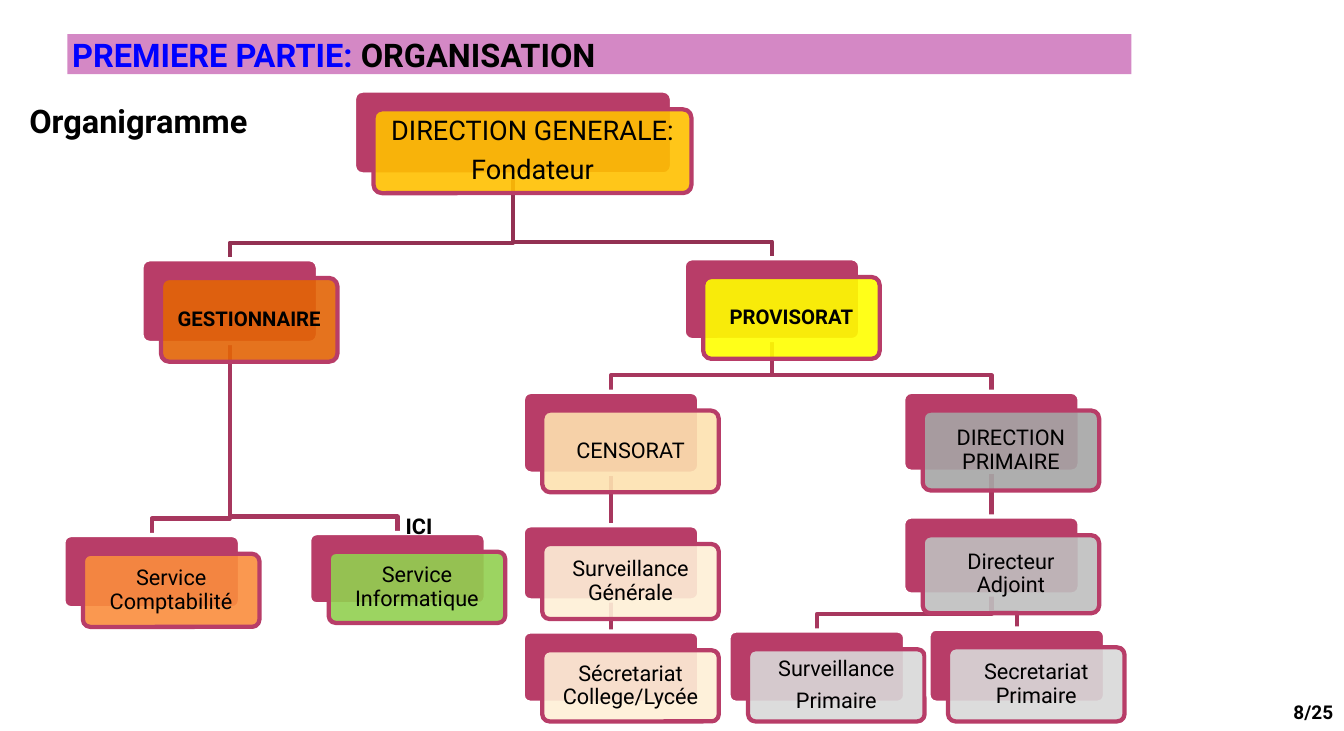
"""Build the organisation chart slide of a school."""
from lxml import etree
from pptx import Presentation
from pptx.dml.color import RGBColor
from pptx.enum.shapes import MSO_CONNECTOR, MSO_SHAPE
from pptx.enum.text import MSO_ANCHOR, MSO_AUTO_SIZE, PP_ALIGN
from pptx.oxml.ns import qn
from pptx.util import Inches, Pt

STRAIGHT = MSO_CONNECTOR.STRAIGHT
ROUNDED = MSO_SHAPE.ROUNDED_RECTANGLE
MIDDLE, BOTTOM, TOP = MSO_ANCHOR.MIDDLE, MSO_ANCHOR.BOTTOM, MSO_ANCHOR.TOP
LEFT, CENTER, RIGHT, JUSTIFY = PP_ALIGN.LEFT, PP_ALIGN.CENTER, PP_ALIGN.RIGHT, PP_ALIGN.JUSTIFY
NO_AUTOFIT = MSO_AUTO_SIZE.NONE
ROSE, ROSE_DARK, ROSE_DARKER = "B83D68", "A7375E", "933153"
LINE_WIDTH = Pt(3.15)
OFFSET, DROP, BOX_WIDTH = 0.2, 0.17, 1.81


def color(value):
    return RGBColor.from_string(value)


def style_font(font, size, bold=False, hue="000000"):
    font.name, font.size, font.bold = "Roboto", Pt(size), bold
    font.color.rgb = color(hue)


prs = Presentation()
prs.slide_width, prs.slide_height = Inches(13.78), Inches(7.5)
s = prs.slides.add_slide(prs.slide_layouts[1])

title, body = s.placeholders
title.left, title.top, title.width, title.height = map(Inches, (0.69, 0.35, 10.91, 0.41))
title.fill.solid()
title.fill.fore_color.rgb = color("D488C5")
tf = title.text_frame
tf.auto_size, tf.vertical_anchor, tf.word_wrap = NO_AUTOFIT, BOTTOM, True
tf.margin_left = tf.margin_right = Inches(0.05)
tf.margin_top = tf.margin_bottom = 0
p = tf.paragraphs[0]
p.alignment = LEFT
for text, hue in (("PREMIERE PARTIE: ", "0000FF"), ("ORGANISATION", "000000")):
    r = p.add_run()
    r.text = text
    style_font(r.font, 24, True, hue)

body.left, body.top, body.width, body.height = map(Inches, (0.2, 0.79, 11.97, 6.38))
tf = body.text_frame
tf.text = "Organigramme"
tf.auto_size, tf.vertical_anchor = NO_AUTOFIT, TOP
p = tf.paragraphs[0]
p.alignment, p.line_spacing, p.space_before = JUSTIFY, 1.5, Pt(2)
style_font(p.font, 24, True)
pPr = p._p.get_or_add_pPr()
pPr.set("marL", "0")
pPr.set("indent", "0")
pPr.insert_element_before(etree.Element(qn("a:buNone")), "a:tabLst", "a:defRPr", "a:extLst")

# name: (left, top, width, height, fill, text, size, bold)
boxes = {
    "direction": (3.63, 0.93, 3.26, 0.86, "FFC000", "DIRECTION GENERALE:\nFondateur", 20, False),
    "gestion": (1.45, 2.66, BOX_WIDTH, 0.86, "E36406", "GESTIONNAIRE", 15, True),
    "compta": (0.65, 5.49, BOX_WIDTH, 0.75, "FA8D3D", "Service Comptabilité", 16, False),
    "info": (3.17, 5.47, BOX_WIDTH, 0.73, "92D050", "Service Informatique", 16, False),
    "provisorat": (7.01, 2.65, BOX_WIDTH, 0.84, "FFFF00", "PROVISORAT", 15, True),
    "censorat": (5.36, 4.02, BOX_WIDTH, 0.84, "FDE2B0", "CENSORAT", 16, False),
    "surv_gen": (5.36, 5.39, BOX_WIDTH, 0.77, "FEF0D7", "Surveillance Générale", 16, False),
    "secr_college": (5.36, 6.48, BOX_WIDTH, 0.73, "FEF0D7", "Sécretariat College/Lycée", 16, False),
    "primaire": (9.26, 4.02, BOX_WIDTH, 0.82, "A6A6A6", "DIRECTION PRIMAIRE", 16, False),
    "adjoint": (9.26, 5.3, BOX_WIDTH, 0.8, "BFBFBF", "Directeur Adjoint", 16, False),
    "surv_prim": (7.47, 6.47, BOX_WIDTH, 0.74, "D9D9D9", "Surveillance\nPrimaire", 16, False),
    "secr_prim": (9.52, 6.45, BOX_WIDTH, 0.76, "D9D9D9", "Secretariat Primaire", 16, False),
}
children = {
    "adjoint": ("secr_prim", "surv_prim"),
    "primaire": ("adjoint",),
    "surv_gen": ("secr_college",),
    "censorat": ("surv_gen",),
    "provisorat": ("primaire", "censorat"),
    "gestion": ("info", "compta"),
    "direction": ("provisorat", "gestion"),
}

straight_links = []
for parent, names in children.items():
    left, top, width, height = boxes[parent][:4]
    x, y = left + width / 2, top + height
    for name in names:
        child_left, child_top, child_width = boxes[name][:3]
        child_x, bend = child_left + child_width / 2, child_top - DROP
        if len(names) == 1:
            sp = s.shapes.add_connector(STRAIGHT, Inches(x), Inches(y), Inches(child_x), Inches(child_top))
            etree.SubElement(sp._element.spPr, qn("a:effectLst"))
            straight_links.append((sp, parent, name))
        else:
            builder = s.shapes.build_freeform(Inches(x), Inches(y))
            corners = ((x, bend), (child_x, bend), (child_x, child_top))
            builder.add_line_segments([(Inches(a), Inches(b)) for a, b in corners], close=False)
            sp = builder.convert_to_shape()
            sp.fill.background()
            sp.shadow.inherit = False
        sp.line.width = LINE_WIDTH
        sp.line.color.rgb = color(ROSE_DARKER if parent == "direction" else ROSE_DARK)

backs = {}
for name, (left, top, width, height, fill, text, size, bold) in boxes.items():
    for shift, hue, outline in ((0, ROSE, "FFFFFF"), (OFFSET, fill, ROSE)):
        sp = s.shapes.add_shape(ROUNDED, Inches(left + shift), Inches(top + shift * 0.96),
                                Inches(width), Inches(height))
        sp.adjustments[0] = 0.1
        sp.shadow.inherit = False
        sp.fill.solid()
        sp.fill.fore_color.rgb = color(hue)
        sp.line.color.rgb = color(outline)
        sp.line.width = LINE_WIDTH
        if not shift:
            backs[name] = sp
    srgb = sp._element.spPr.find(qn("a:solidFill")).find(qn("a:srgbClr"))
    etree.SubElement(srgb, qn("a:alpha")).set("val", "90000")
    tf = sp.text_frame
    tf.text = text
    tf.word_wrap, tf.vertical_anchor = True, MIDDLE
    tf.margin_left = tf.margin_right = tf.margin_top = tf.margin_bottom = Inches(0.06 if bold else 0.07)
    for p in tf.paragraphs:
        p.alignment, p.line_spacing, p.space_after = CENTER, 0.9, Pt(size * 0.38)
        style_font(p.font, size, bold)

for sp, parent, name in straight_links:
    sp.begin_connect(backs[parent], 2)
    sp.end_connect(backs[name], 0)

sp = s.shapes.add_textbox(Inches(4.06), Inches(5.17), Inches(0.48), Inches(0.31))
tf = sp.text_frame
tf.text = "ICI"
tf.word_wrap = False
p = tf.paragraphs[0]
p.line_spacing, p.space_after = 1.15, Pt(10)
style_font(p.font, 16, True)

sp = s.shapes.add_textbox(Inches(12.78), Inches(7.17), Inches(0.89), Inches(0.25))
tf = sp.text_frame
tf.text = "8/25"
tf.word_wrap, tf.vertical_anchor = True, BOTTOM
tf.margin_left = tf.margin_right = tf.margin_top = tf.margin_bottom = 0
p = tf.paragraphs[0]
p.alignment = RIGHT
style_font(p.font, 14, True)

prs.save("out.pptx")
